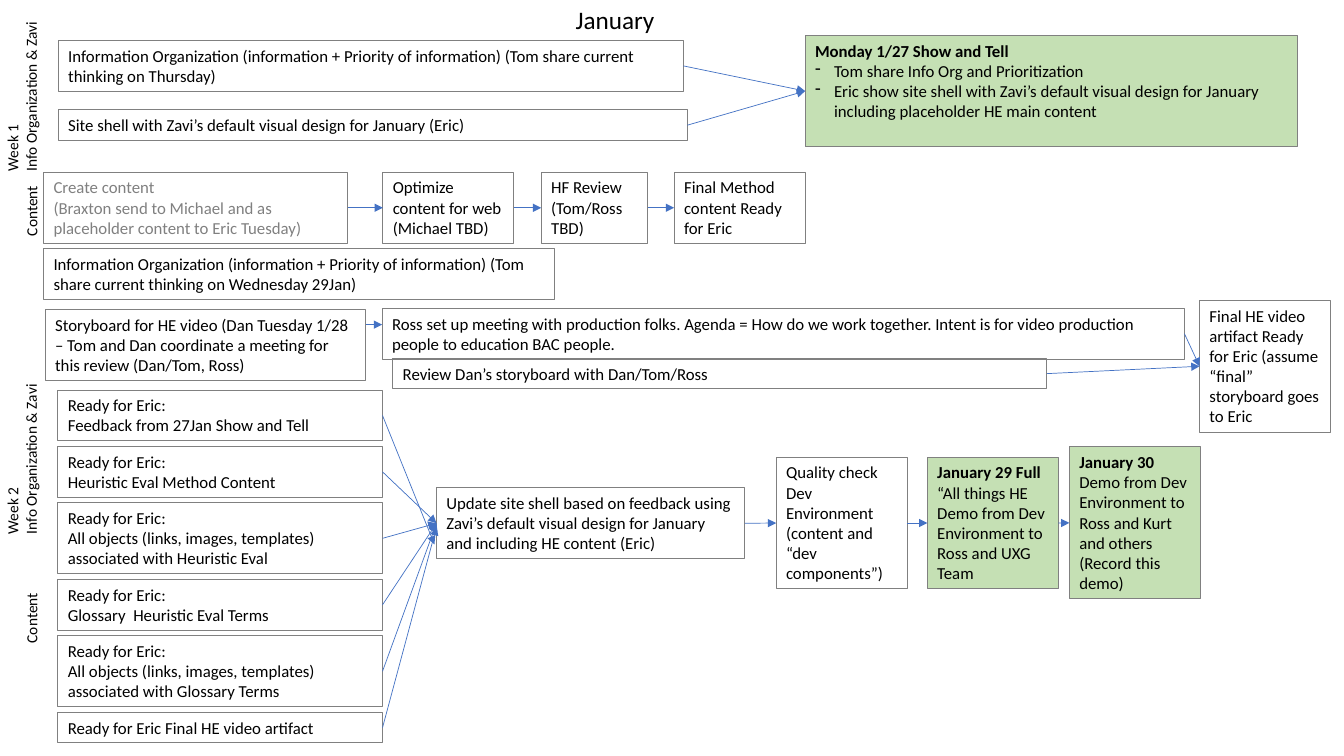
"""Builds the January two-week plan slide with its task boxes, arrows and week labels."""
from dataclasses import dataclass
from typing import Any, Optional, Union

from lxml.etree import SubElement
from pptx import Presentation
from pptx.dml.color import RGBColor
from pptx.enum.shapes import MSO_CONNECTOR, MSO_SHAPE
from pptx.enum.text import MSO_ANCHOR, MSO_AUTO_SIZE, PP_ALIGN
from pptx.oxml.ns import qn
from pptx.util import Cm, Pt

COLORS = {"text": "000000", "grey": "808080", "green": "C5E0B4", "arrow": "4472C4"}
LINE_H, PAD, GAP = 0.51, 0.26, 0.14
BULLET_INDENT = 0.48
LEFT, RIGHT = 1, 3


@dataclass(frozen=True)
class Para:
    text: str
    bold: str = ""
    dash: bool = False


@dataclass(frozen=True)
class Box:
    key: str
    x: float
    y: float
    w: float
    lines: int
    paras: tuple[Para, ...]
    fill: Optional[str] = None
    color: str = "text"

    @property
    def h(self) -> float:
        return PAD + LINE_H * self.lines


@dataclass(frozen=True)
class Label:
    x: float
    y: float
    w: float
    h: float
    paras: tuple[Para, ...]


Point = tuple[float, float]
End = Union[str, Point]


@dataclass(frozen=True)
class Arrow:
    start: End
    end: End


def paras(*texts: str) -> tuple[Para, ...]:
    return tuple(Para(t) for t in texts)


def ready_column() -> list[Box]:
    items = [
        ("feedback", 2, "Feedback from 27Jan Show and Tell"),
        ("method", 2, "Heuristic Eval Method Content"),
        ("eval_objects", 3, "All objects (links, images, templates) associated with Heuristic Eval"),
        ("glossary", 2, "Glossary  Heuristic Eval Terms"),
        ("terms_objects", 3, "All objects (links, images, templates) associated with Glossary Terms"),
    ]
    boxes, y = [], 9.83
    for key, lines, text in items:
        boxes.append(Box(key, 1.46, y, 8.18, lines, paras("Ready for Eric:", text)))
        y += boxes[-1].h + GAP
    boxes.append(Box("video", 1.46, y, 8.18, 1, paras("Ready for Eric Final HE video artifact")))
    return boxes


READY = ready_column()
BOXES = [
    Box("info", 1.47, 1.02, 15.75, 2, paras(
        "Information Organization (information + Priority of information) "
        "(Tom share current thinking on Thursday)")),
    Box("shell", 1.47, 2.77, 15.85, 1, paras(
        "Site shell with Zavi’s default visual design for January (Eric)")),
    Box("show", 20.29, 0.89, 12.4, 5, (
        Para("", "Monday 1/27 Show and Tell"),
        Para("Tom share Info Org and Prioritization", dash=True),
        Para("Eric show site shell with Zavi’s default visual design for January "
             "including placeholder HE main content", dash=True)), "green"),
    Box("create", 1.1, 4.34, 7.66, 3, paras(
        "Create content",
        "(Braxton send to Michael and as placeholder content to Eric Tuesday)"), color="grey"),
    Box("optimize", 9.65, 4.34, 3.3, 3, paras("Optimize content for web", "(Michael TBD)")),
    Box("review", 13.64, 4.34, 2.69, 3, paras("HF Review", "(Tom/Ross TBD)")),
    Box("final", 16.99, 4.34, 3.3, 3, paras("Final Method content Ready for Eric")),
    Box("info_29", 1.1, 6.27, 12.88, 2, paras(
        "Information Organization (information + Priority of information) "
        "(Tom share current thinking on Wednesday 29Jan)")),
    Box("storyboard", 1.14, 7.81, 8.08, 3, paras(
        "Storyboard for HE video (Dan Tuesday 1/28 – Tom and Dan coordinate "
        "a meeting for this review (Dan/Tom, Ross)")),
    Box("dan_review", 9.9, 9.03, 16.48, 1, paras("Review Dan’s storyboard with Dan/Tom/Ross")),
    Box("meeting", 9.63, 7.77, 20.22, 2, paras(
        "Ross set up meeting with production folks. Agenda = How do we work together. "
        "Intent is for video production people to education BAC people.")),
    Box("artifact", 30.23, 7.57, 3.3, 6, paras(
        "Final HE video artifact Ready for Eric (assume “final” storyboard goes to Eric")),
    *READY,
    Box("update", 11, 12.29, 7.77, 3, paras(
        "Update site shell based on feedback using Zavi’s default visual design "
        "for January and including HE content (Eric)")),
    Box("quality", 19.56, 11.52, 3.3, 6, paras(
        "Quality check Dev Environment (content and “dev components”)")),
    Box("jan_29", 23.37, 11.52, 3.3, 6, (
        Para("“All things HE Demo from Dev Environment to Ross and UXG Team",
             "January 29 Full "),), "green"),
    Box("jan_30", 26.95, 11.26, 3.3, 7, (
        Para("Demo from Dev Environment to Ross and Kurt and others", "January 30 "),
        Para("(Record this demo)")), "green"),
]
LABELS = [label for week, week_y, content_y in ((1, 1.83, 4.93), (2, 10.97, 15.19)) for label in (
    Label(-1.6, week_y, 4.29, 1.19, paras(f"Week {week}", "Info Organization & Zavi")),
    Label(-0.1, content_y, 1.8, 0.74, paras("Content")))]
ARROWS = [
    Arrow("info", "show"), Arrow("shell", "show"),
    Arrow("create", "optimize"), Arrow("optimize", "review"), Arrow("review", "final"),
    Arrow((9.23, 8.18), (9.63, 8.18)),
    Arrow("meeting", "artifact"), Arrow("dan_review", "artifact"),
    Arrow("feedback", (10.95, 13.72)),
    *(Arrow(box.key, "update") for box in READY[1:-1]),
    Arrow("video", (11, 13.28)),
    Arrow("update", "quality"), Arrow("quality", "jan_29"), Arrow("jan_29", "jan_30"),
]


def rgb(name: str) -> RGBColor:
    return RGBColor.from_string(COLORS[name])


def apply(obj: Any, fmt: dict[str, Any]) -> None:
    for name, value in fmt.items():
        setattr(obj, name, value)


def write(sp: Any, items: tuple[Para, ...], size: float, color: str = "text", wrap: bool = True) -> None:
    tf = sp.text_frame
    apply(tf, {"word_wrap": wrap, "auto_size": MSO_AUTO_SIZE.SHAPE_TO_FIT_TEXT,
               "vertical_anchor": MSO_ANCHOR.TOP})
    for i, item in enumerate(items):
        p = tf.add_paragraph() if i else tf.paragraphs[0]
        p.alignment = PP_ALIGN.LEFT
        if item.dash:
            pPr = p._p.get_or_add_pPr()
            pPr.set("marL", str(Cm(BULLET_INDENT)))
            pPr.set("indent", str(-Cm(BULLET_INDENT)))
            SubElement(pPr, qn("a:buChar")).set("char", "-")
        for text, bold in ((item.bold, True), (item.text, False)):
            if text:
                r = p.add_run()
                r.text = text
                apply(r.font, {"name": "Calibri", "size": Pt(size), "bold": bold})
                r.font.color.rgb = rgb(color)


def draw_box(s: Any, box: Box) -> Any:
    sp = s.shapes.add_shape(MSO_SHAPE.RECTANGLE, Cm(box.x), Cm(box.y), Cm(box.w), Cm(box.h))
    sp.shadow.inherit = False
    if box.fill:
        sp.fill.solid()
        sp.fill.fore_color.rgb = rgb(box.fill)
    else:
        sp.fill.background()
    sp.line.color.rgb = rgb("grey")
    sp.line.width = Pt(0.75)
    write(sp, box.paras, 12, box.color)
    return sp


def draw_label(s: Any, label: Label) -> None:
    sp = s.shapes.add_textbox(Cm(label.x), Cm(label.y), Cm(label.w), Cm(label.h))
    sp.rotation = 270
    write(sp, label.paras, 11, wrap=False)


def draw_arrow(s: Any, arrow: Arrow, shapes: dict[str, Any]) -> None:
    points = [(0, 0) if isinstance(e, str) else e for e in (arrow.start, arrow.end)]
    cx = s.shapes.add_connector(MSO_CONNECTOR.STRAIGHT, *(Cm(v) for point in points for v in point))
    if isinstance(arrow.start, str):
        cx.begin_connect(shapes[arrow.start], RIGHT)
    if isinstance(arrow.end, str):
        cx.end_connect(shapes[arrow.end], LEFT)
    cx.line.color.rgb = rgb("arrow")
    cx.line.width = Pt(0.5)
    SubElement(cx.line._get_or_add_ln(), qn("a:tailEnd")).set("type", "triangle")
    SubElement(cx._element.spPr, qn("a:effectLst"))


def main() -> None:
    prs = Presentation()
    apply(prs, {"slide_width": Cm(33.87), "slide_height": Cm(19.05)})
    s = prs.slides.add_slide(prs.slide_layouts[5])
    title = s.shapes.title
    apply(title, {"left": Cm(14.25), "top": Cm(-0.03), "width": Cm(2.67), "height": Cm(1.02)})
    write(title, paras("January"), 18, wrap=False)
    shapes = {box.key: draw_box(s, box) for box in BOXES}
    for label in LABELS:
        draw_label(s, label)
    for arrow in ARROWS:
        draw_arrow(s, arrow, shapes)
    prs.save("out.pptx")


if __name__ == "__main__":
    main()
